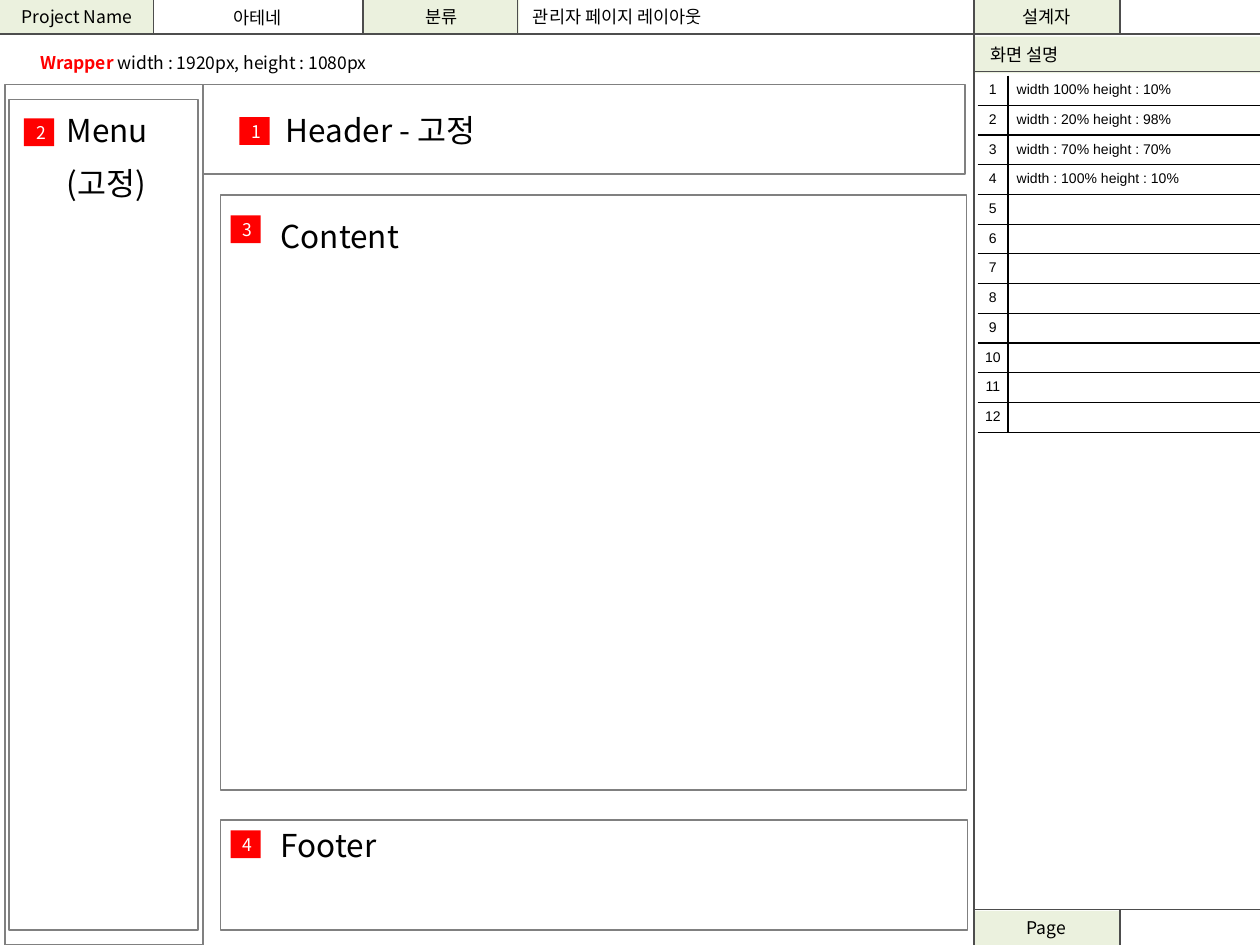
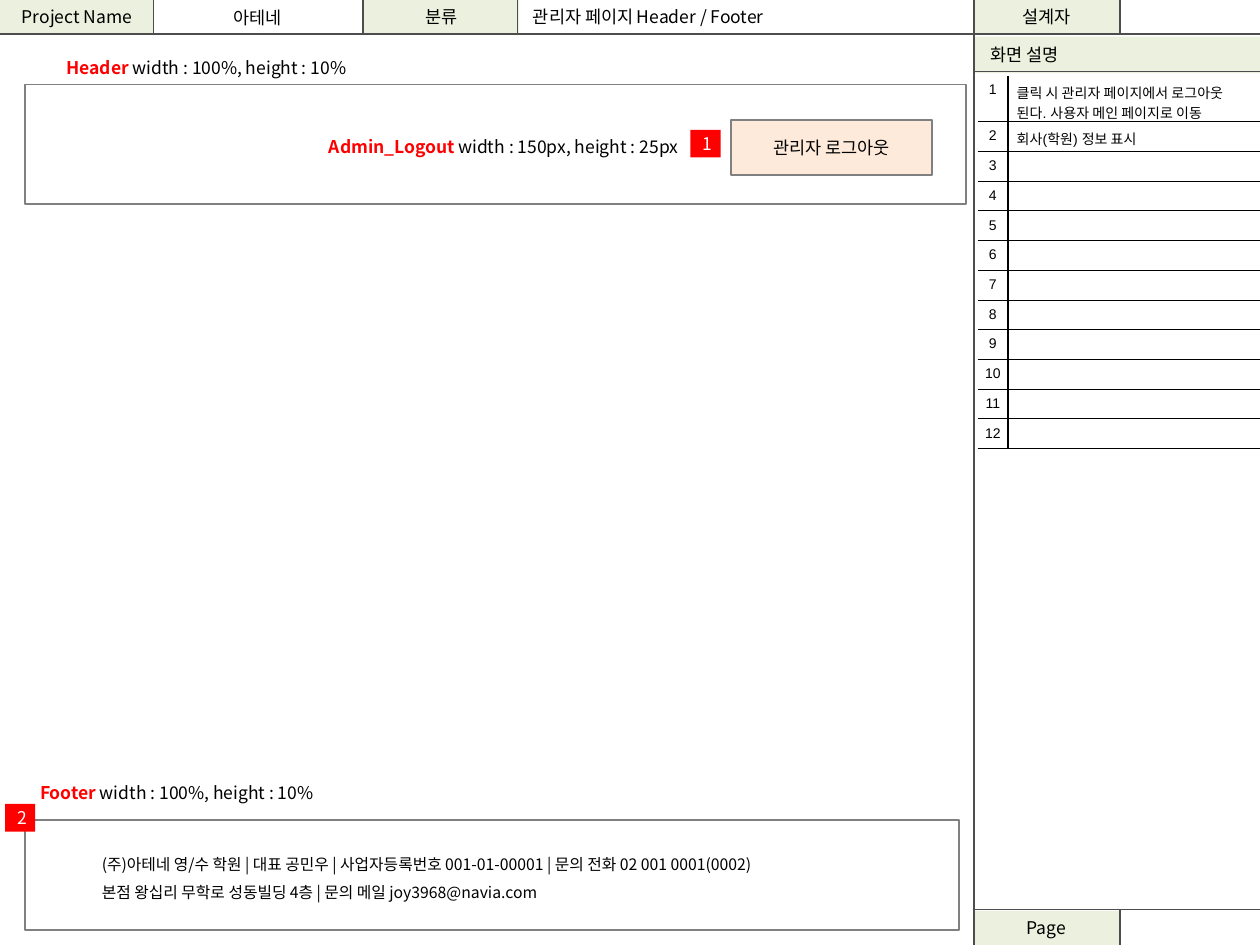
from dataclasses import dataclass
from typing import Optional

from lxml.etree import SubElement as Sub
from pptx import Presentation
from pptx.dml.color import RGBColor as Rgb
from pptx.enum.shapes import MSO_CONNECTOR as Conn, MSO_SHAPE as Kind
from pptx.enum.text import MSO_ANCHOR as Anchor, MSO_AUTO_SIZE as Auto, PP_ALIGN as Align
from pptx.oxml.ns import qn
from pptx.util import Inches, Pt

SANS = "Noto Sans CJK KR"
ARIAL = "Arial"
BLACK = Rgb(0, 0, 0)
WHITE = Rgb(255, 255, 255)
RED = Rgb(255, 0, 0)
GREEN = Rgb(0xEB, 0xF1, 0xDE)
PEACH = Rgb(0xFD, 0xEA, 0xDA)
GREY = Rgb(0x80, 0x80, 0x80)
DARK = Rgb(0x4D, 0x4D, 0x4D)
PLAIN = "{2D5ABB26-0587-4C30-8999-92F81FD0307C}"
ROWS = 12
ROW = 0.236
SIDE = 7.73
BAR = 0.27


@dataclass(frozen=True)
class Box:
    left: float
    top: float
    width: float
    height: float
    text: str = ""
    fill: Optional[Rgb] = WHITE
    line: Optional[Rgb] = GREY
    color: Rgb = BLACK
    align: Align = Align.CENTER
    inset: float = 0.1


@dataclass(frozen=True)
class Label:
    left: float
    top: float
    width: float
    height: float
    text: str
    lead: str = ""
    size: float = 10
    align: Align = Align.LEFT
    anchor: Anchor = Anchor.TOP
    space: float = 1.0


@dataclass(frozen=True)
class Rule:
    left: float
    top: float
    right: float
    end: float


def cell_tab(left: float, top: float, width: float, text: str) -> Box:
    return Box(left, top, width, BAR, text, GREEN, None)


def badge(left: float, top: float, num: int) -> Box:
    return Box(left, top, 0.24, 0.22, str(num), RED, None, WHITE)


TABS = [
    cell_tab(SIDE, 7.23, 1.15, "Page"),
    cell_tab(SIDE, 0, 1.15, "설계자"),
    Box(SIDE, 0.29, 2.27, 0.29, "화면 설명", GREEN, None, align=Align.LEFT, inset=0.13),
    cell_tab(2.89, 0, 1.23, "분류"),
    cell_tab(0, 0, 1.22, "Project Name"),
]
NAME = Label(1.22, 0.01, 1.65, 0.25, "아테네", align=Align.CENTER, anchor=Anchor.MIDDLE)
RULES = [
    Rule(0, BAR, 10, BAR),
    *(Rule(left, 0, left, BAR) for left in (1.22, 2.88, 4.11, 8.89)),
    Rule(SIDE, 0.57, 10, 0.57),
    Rule(SIDE, 0, SIDE, 7.5),
    Rule(SIDE, 7.22, 10, 7.22),
    Rule(8.89, 7.22, 8.89, 7.5),
]


def style(para, size: float, color: Optional[Rgb] = BLACK, face: str = SANS) -> None:
    font = para.font
    font.size = Pt(size)
    font.name = face
    if color is not None:
        font.color.rgb = color
    Sub(font._element, qn("a:ea"), typeface=SANS)


def write(frame, text: str, size: float, color: Rgb = BLACK, face: str = SANS,
          align: Align = Align.LEFT, space: float = 1.0) -> None:
    for num, line in enumerate(text.split("\n")):
        para = frame.add_paragraph() if num else frame.paragraphs[0]
        para.alignment = align
        para.line_spacing = space
        style(para, size, color, face)
        if line:
            para.add_run().text = line
        else:
            Sub(para._p, qn("a:endParaRPr"), sz=str(int(size * 100)))


def draw_box(shapes, box: Box) -> None:
    shape = shapes.add_shape(Kind.RECTANGLE, Inches(box.left), Inches(box.top),
                             Inches(box.width), Inches(box.height))
    shape.shadow.inherit = False
    shape.fill.solid()
    shape.fill.fore_color.rgb = box.fill
    if box.line is None:
        shape.line.fill.background()
    else:
        shape.line.color.rgb = box.line
        shape.line.width = Pt(1)
    if box.text:
        frame = shape.text_frame
        frame.margin_left = Inches(box.inset)
        frame.vertical_anchor = Anchor.MIDDLE
        write(frame, box.text, 10, box.color, align=box.align)


def draw_label(shapes, label: Label) -> None:
    shape = shapes.add_textbox(Inches(label.left), Inches(label.top),
                               Inches(label.width), Inches(label.height))
    frame = shape.text_frame
    frame.word_wrap = True
    frame.vertical_anchor = label.anchor
    if not label.lead:
        write(frame, label.text, label.size, align=label.align, space=label.space)
        return
    para = frame.paragraphs[0]
    para.alignment = label.align
    style(para, label.size, None)
    for text, color, bold in ((label.lead, RED, True), (" " + label.text, BLACK, False)):
        run = para.add_run()
        run.text = text
        run.font.bold = bold
        run.font.color.rgb = color


def draw_rule(shapes, rule: Rule) -> None:
    line = shapes.add_connector(Conn.STRAIGHT, Inches(rule.left), Inches(rule.top),
                                Inches(rule.right), Inches(rule.end))
    line.line.color.rgb = DARK
    line.line.width = Pt(0.75)
    Sub(line._element.spPr, qn("a:effectLst"))


def edge(cell, side: str) -> None:
    line = Sub(cell._tc.get_or_add_tcPr(), qn("a:" + side), w=str(Pt(0.75)))
    Sub(Sub(line, qn("a:solidFill")), qn("a:srgbClr"), val=str(BLACK))


def draw_notes(shapes, notes: list[str], first: float) -> None:
    high = [first] + [ROW] * (ROWS - 1)
    table = shapes.add_table(ROWS, 2, Inches(7.76), Inches(0.6),
                             Inches(2.24), Inches(sum(high))).table
    table.first_row = table.horz_banding = False
    table._tbl.tblPr.find(qn("a:tableStyleId")).text = PLAIN
    table.columns[0].width = Inches(0.24)
    table.columns[1].width = Inches(2)
    for num, row in enumerate(table.rows):
        row.height = Inches(high[num])
        note = notes[num] if num < len(notes) else ""
        parts = ((str(num + 1), Align.CENTER, 0.04, ("lnR", "lnB")),
                 (note, Align.LEFT, 0.07, ("lnL", "lnB")))
        for cell, (text, align, inset, sides) in zip(row.cells, parts):
            cell.margin_left = cell.margin_right = Inches(inset)
            for side in sides:
                edge(cell, side)
            cell.fill.background()
            write(cell.text_frame, text, 8, face=ARIAL, align=align)


def add_page(deck, title: str):
    slide = deck.slides.add_slide(deck.slide_layouts[5])
    head = slide.shapes.title
    head.left, head.top = Inches(4.13), Inches(0)
    head.width, head.height = Inches(2.99), Inches(BAR)
    frame = head.text_frame
    frame.auto_size = Auto.NONE
    frame.word_wrap = True
    frame.vertical_anchor = Anchor.TOP
    write(frame, title, 10)
    for tab in TABS:
        draw_box(slide.shapes, tab)
    draw_label(slide.shapes, NAME)
    for rule in RULES:
        draw_rule(slide.shapes, rule)
    return slide.shapes


def draw_all(shapes, boxes: list[Box], labels: list[Label]) -> None:
    for box in boxes:
        draw_box(shapes, box)
    for label in labels:
        draw_label(shapes, label)


def layout_page(deck) -> None:
    shapes = add_page(deck, "관리자 페이지 레이아웃")
    draw_all(shapes, [
        Box(0.04, 0.67, 1.57, 6.83),
        Box(1.61, 0.67, 6.05, 0.71),
        Box(0.07, 0.79, 1.5, 6.59),
        Box(1.75, 1.55, 5.92, 4.72),
        Box(1.75, 6.51, 5.93, 0.87),
        badge(1.9, 0.93, 1),
        badge(0.19, 0.94, 2),
        badge(1.83, 1.71, 3),
        badge(1.83, 6.59, 4),
    ], [
        Label(0.22, 0.36, 4.72, BAR, "width : 1920px, height : 1080px", "Wrapper"),
        Label(2.13, 1.67, 2.39, 0.4, "Content", size=18),
        Label(2.13, 6.51, 1.84, 0.4, "Footer", size=18),
        Label(2.17, 0.83, 3.62, 0.4, "Header - 고정", size=18),
    ])
    menu = shapes.add_group_shape()
    draw_all(menu.shapes, [], [
        Label(0.43, 0.83, 1.29, 0.4, "Menu", size=18),
        Label(0.43, 1.25, 1.84, 0.4, "(고정)", size=18),
    ])
    draw_notes(shapes, [
        "width 100% height : 10%",
        "width : 20% height : 98%",
        "width : 70% height : 70%",
        "width : 100% height : 10%",
    ], ROW)


def header_page(deck) -> None:
    shapes = add_page(deck, "관리자 페이지 Header / Footer")
    size = "width : 100%, height : 10%"
    draw_all(shapes, [
        Box(0.2, 0.67, 7.47, 0.95),
        Box(0.2, 6.51, 7.41, 0.87),
        badge(0.04, 6.38, 2),
        Box(5.8, 0.95, 1.6, 0.44, "관리자 로그아웃", PEACH),
        badge(5.48, 1.03, 1),
    ], [
        Label(0.22, 6.16, 3.83, BAR, size, "Footer"),
        Label(0.43, 0.4, 3.83, BAR, size, "Header"),
        Label(2.22, 1.03, 3.26, BAR, "width : 150px, height : 25px",
              "Admin_Logout", align=Align.RIGHT),
        Label(0.71, 6.66, 5.84, 0.56,
              "(주)아테네 영/수 학원 | 대표 공민우 | 사업자등록번호 001-01-00001"
              " | 문의 전화 02 001 0001(0002)\n"
              "본점 왕십리 무학로 성동빌딩 4층 | 문의 메일 joy3968@navia.com",
              size=9, space=1.5),
    ])
    draw_notes(shapes, [
        "클릭 시 관리자 페이지에서 로그아웃\n된다. 사용자 메인 페이지로 이동",
        "회사(학원) 정보 표시",
    ], 0.36)


def main() -> None:
    deck = Presentation()
    deck.slide_width, deck.slide_height = Inches(10), Inches(7.5)
    layout_page(deck)
    header_page(deck)
    deck.save("out.pptx")


if __name__ == "__main__":
    main()
